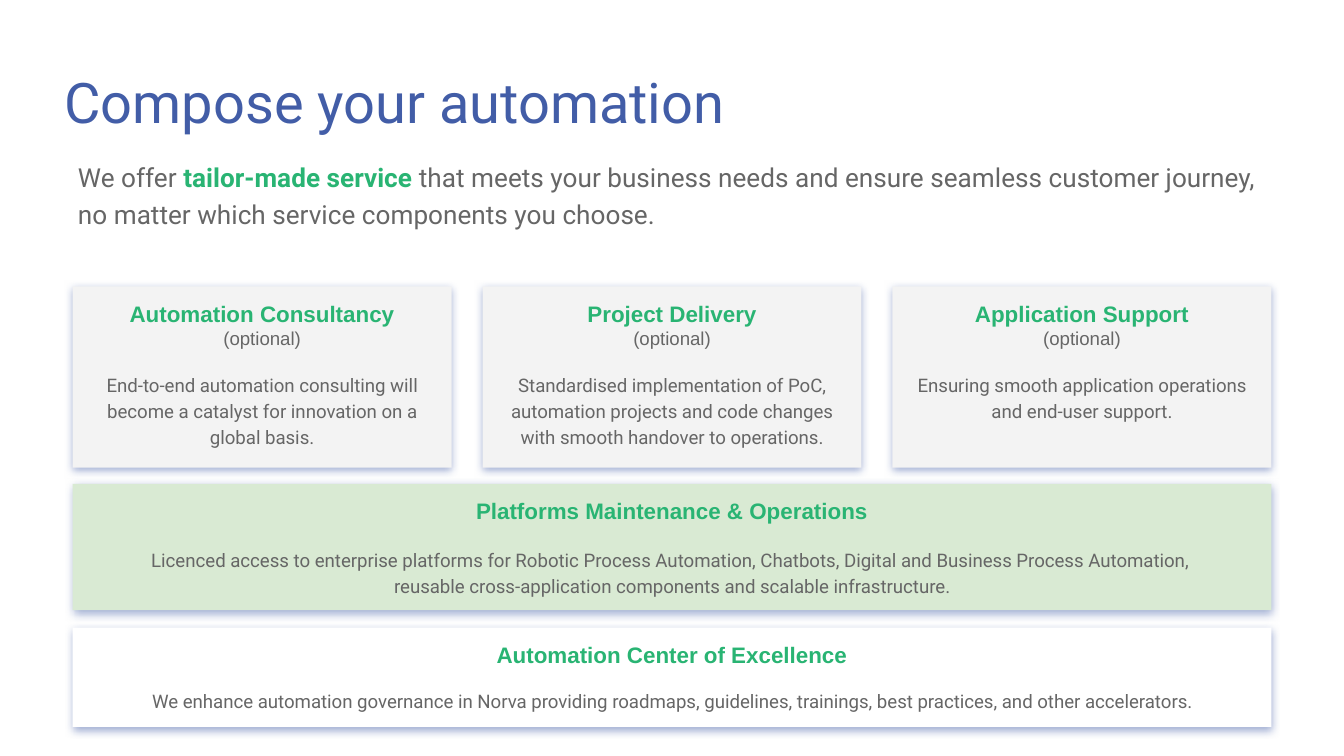
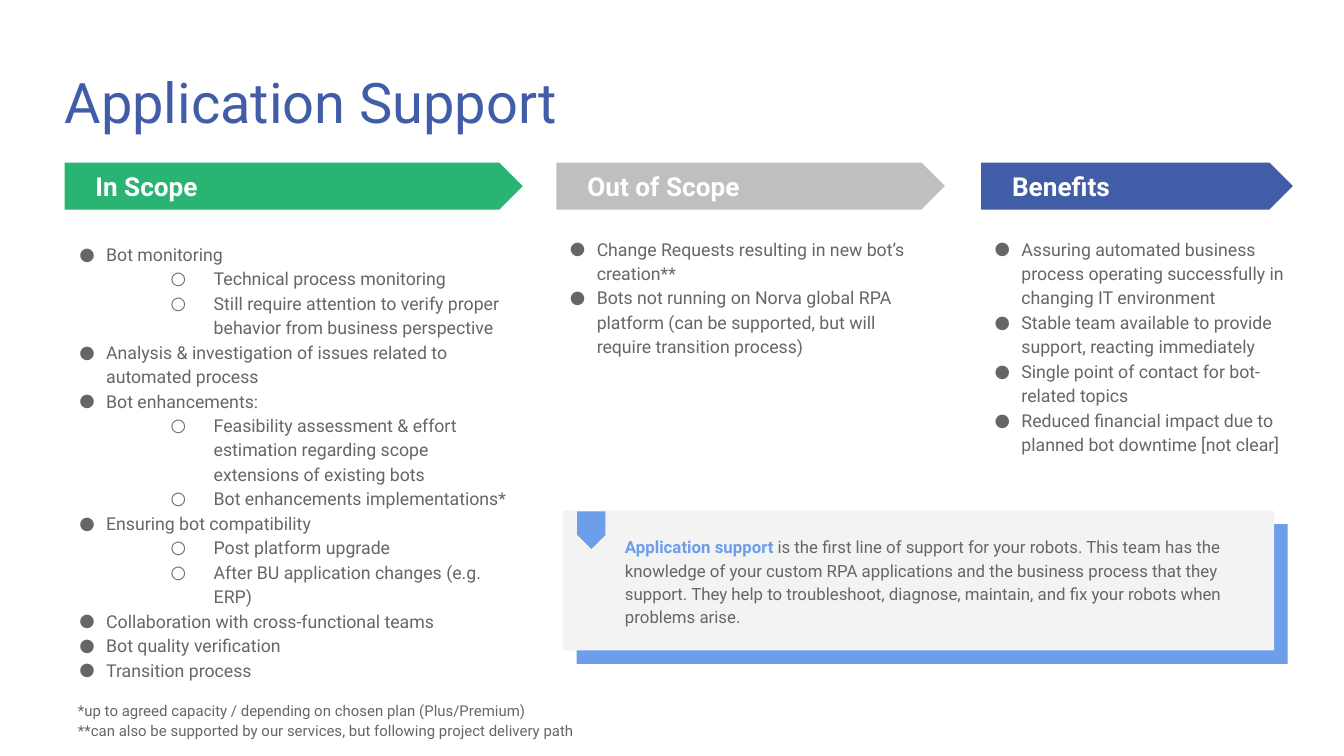
import dataclasses

import lxml.etree
import pptx
import pptx.dml.color
import pptx.enum.shapes
import pptx.enum.text
import pptx.oxml
import pptx.oxml.ns
import pptx.util

WIDTH, HEIGHT = 10, 5.625
COLUMN = pptx.util.Inches(WIDTH / 100)
ROW = pptx.util.Inches(HEIGHT / 100)

BLUE, GREEN, SKY = "425DA7", "29B473", "6D9EEB"
TEXT_GRAY, PALE_GRAY, MID_GRAY = "666666", "F3F3F3", "BFBFBF"
PALE_GREEN, WHITE = "D9EAD3", "FFFFFF"

SHAPES = pptx.enum.shapes.MSO_SHAPE
ANCHOR = pptx.enum.text.MSO_ANCHOR
ALIGN = pptx.enum.text.PP_ALIGN
INSETS = (0.1, 0.1, 0.1, 0.1)


def style(size, color, name="Roboto", bold=False):
    return {"size": pptx.util.Pt(size), "name": name, "bold": bold, "color": color}


TITLE = style(30, BLUE)
LEAD, LEAD_STRONG = style(14, TEXT_GRAY), style(14, GREEN, bold=True)
CARD_HEADING = style(12, GREEN, "Arial", True)
CARD_NOTE, CARD_TEXT = style(10, TEXT_GRAY, "Arial"), style(10, TEXT_GRAY)
ARROW_HEADING = style(14, WHITE, bold=True)
LIST_TEXT, FOOTNOTE = style(9.5, TEXT_GRAY), style(8, TEXT_GRAY)
CALLOUT, CALLOUT_STRONG = style(9, TEXT_GRAY), style(9, SKY, bold=True)

# Bullet character, left margin and hanging indent in inches, by list level
BULLETS = [("●", 0.2, -0.2), ("○", 1, -0.32)]


@dataclasses.dataclass
class Box:
    """Position in hundredths of the slide's width and height."""
    left: float
    top: float
    width: float
    height: float

    def inside(self, left, top, width, height):
        return Box(self.left + left, self.top + top, width, height)

    def place(self, shape):
        lengths = {"left": self.left * COLUMN, "top": self.top * ROW,
                   "width": self.width * COLUMN, "height": self.height * ROW}
        for name, value in lengths.items():
            setattr(shape, name, round(value))


@dataclasses.dataclass
class Line:
    """One paragraph: (text, style) runs, paragraph format and list level."""
    runs: list
    layout: dict = dataclasses.field(default_factory=dict)
    level: int | None = None


def rgb(value):
    return pptx.dml.color.RGBColor.from_string(value)


def set_bullet(paragraph, level):
    properties = paragraph._p.get_or_add_pPr()
    character, margin, indent = (None, 0, 0) if level is None else BULLETS[level]
    properties.set("marL", str(pptx.util.Inches(margin)))
    properties.set("indent", str(pptx.util.Inches(indent)))
    name = pptx.oxml.ns.qn
    if character is None:
        lxml.etree.SubElement(properties, name("a:buNone"))
        return
    bullet_color = lxml.etree.SubElement(properties, name("a:buClr"))
    lxml.etree.SubElement(bullet_color, name("a:srgbClr"), val=TEXT_GRAY)
    lxml.etree.SubElement(properties, name("a:buFont"), typeface="Roboto")
    lxml.etree.SubElement(properties, name("a:buChar"), char=character)


def add_run(paragraph, text, text_style):
    run = paragraph.add_run()
    run.text = text
    for name, value in text_style.items():
        if name == "color":
            run.font.color.rgb = rgb(value)
        else:
            setattr(run.font, name, value)


def write(shape, lines, insets=INSETS, anchor=ANCHOR.TOP):
    frame = shape.text_frame
    settings = {"word_wrap": True, "auto_size": pptx.enum.text.MSO_AUTO_SIZE.NONE,
                "vertical_anchor": anchor}
    for side, inset in zip(("left", "top", "right", "bottom"), insets):
        settings["margin_" + side] = pptx.util.Inches(inset)
    for name, value in settings.items():
        setattr(frame, name, value)
    for index, line in enumerate(lines):
        paragraph = frame.add_paragraph() if index else frame.paragraphs[0]
        set_bullet(paragraph, line.level)
        layout = {"alignment": ALIGN.LEFT, "line_spacing": 1.0, "level": line.level or 0,
                  "space_before": pptx.util.Pt(0), **line.layout}
        for name, value in layout.items():
            setattr(paragraph, name, value)
        for text, text_style in line.runs:
            for part_index, part in enumerate(text.split("\n")):
                if part_index:
                    paragraph.add_line_break()
                add_run(paragraph, part, text_style)


def add_filled(slide, preset, box, fill):
    shape = slide.shapes.add_shape(preset, 0, 0, 0, 0)
    box.place(shape)
    shape.shadow.inherit = False
    shape.fill.solid()
    shape.fill.fore_color.rgb = rgb(fill)
    shape.line.fill.background()
    return shape


def add_soft_shadow(shape):
    effects = shape._element.spPr.find(pptx.oxml.ns.qn("a:effectLst"))
    effects.append(pptx.oxml.parse_xml(
        f'<a:outerShdw {pptx.oxml.ns.nsdecls("a")} blurRad="{pptx.util.Pt(4.5)}" '
        f'dist="{pptx.util.Pt(1.5)}" dir="5400000" algn="bl" rotWithShape="0">'
        f'<a:srgbClr val="{BLUE}"><a:alpha val="50000"/></a:srgbClr></a:outerShdw>'))


def add_titled_slide(presentation, layout_name, title, width, height):
    layout = presentation.slide_layouts.get_by_name(layout_name)
    slide = presentation.slides.add_slide(layout)
    slide.background.fill.solid()
    slide.background.fill.fore_color.rgb = rgb(WHITE)
    Box(4.8, 8.89, width, height).place(slide.shapes.title)
    write(slide.shapes.title, [Line([(title, TITLE)])], insets=(0, 0, 0, 0))
    return slide


def fill_body(slide, index, box, lines):
    body = slide.placeholders[index]
    box.place(body)
    write(body, lines)


def add_card(slide, box, fill, heading, text, note=None, gap=11.5):
    card = add_filled(slide, SHAPES.RECTANGLE, box, fill)
    add_soft_shadow(card)
    centered = {"alignment": ALIGN.CENTER}
    lines = [Line([(heading, CARD_HEADING)], centered)]
    if note:
        lines.append(Line([(note, CARD_NOTE)], centered))
    lines.append(Line([(text, CARD_TEXT)], {
        **centered, "line_spacing": 1.15, "space_before": pptx.util.Pt(gap),
        "space_after": pptx.util.Pt(16)}))
    write(card, lines)


def add_card_row(slide, box, cards, gap=2.3):
    width = (box.width - gap * (len(cards) - 1)) / len(cards)
    for index, (heading, text) in enumerate(cards):
        card_box = box.inside(index * (width + gap), 0, width, box.height)
        add_card(slide, card_box, PALE_GRAY, heading, text, "(optional)")


def add_scope_column(slide, index, box, color, heading, list_offset, items):
    """Arrow heading in the box, list placed from the box's corner."""
    arrow = add_filled(slide, SHAPES.PENTAGON, box, color)
    arrow.adjustments[0] = 0.5
    write(arrow, [Line([(heading, ARROW_HEADING)])], (0.23, 0.1, 0.1, 0.1), ANCHOR.MIDDLE)
    lines = [Line([(text, LIST_TEXT)], {"line_spacing": 1.15}, level) for level, text in items]
    fill_body(slide, index, box.inside(*list_offset), lines)


def add_callout(slide, box, runs):
    """Panel over an offset backing, with a ribbon hanging from its top edge."""
    add_filled(slide, SHAPES.RECTANGLE, box.inside(1, 1.78, box.width, box.height), SKY)
    panel = add_filled(slide, SHAPES.RECTANGLE, box, PALE_GRAY)
    write(panel, [Line(runs, {"line_spacing": 1.15})], (0.46, 0.1, 0.15, 0.1), ANCHOR.MIDDLE)
    ribbon = add_filled(slide, SHAPES.PENTAGON, box.inside(0.7, 0.71, 2.8, 3.73), SKY)
    ribbon.adjustments[0] = 0.5
    ribbon.rotation = 90


def build_compose_slide(presentation):
    slide = add_titled_slide(presentation, "Title and Content",
                             "Compose your automation", 89.8, 15.64)
    fill_body(slide, 1, Box(4.8, 19.02, 89.8, 18.67), [Line([
        ("We offer ", LEAD), ("tailor-made service", LEAD_STRONG),
        (" that meets your business needs and ensure seamless customer journey, "
         "no matter which service components you choose.", LEAD)], {"line_spacing": 1.15})])
    grid = Box(5.4, 37.87, 89.2, 58.31)
    add_card_row(slide, grid.inside(0, 0, grid.width, 24), [
        ("Automation Consultancy", "End-to-end automation consulting will become a "
         "catalyst for innovation on a global basis."),
        ("Project Delivery", "Standardised implementation of PoC, automation projects "
         "and code changes with smooth handover to operations."),
        ("Application Support", "Ensuring smooth application operations and end-user support.")])
    add_card(slide, grid.inside(0, 26.13, grid.width, 16.71), PALE_GREEN,
             "Platforms Maintenance & Operations",
             "Licenced access to enterprise platforms for Robotic Process Automation, Chatbots, "
             "Digital and Business Process Automation, \n"
             "reusable cross-application components and scalable infrastructure.")
    add_card(slide, grid.inside(0, 45.15, grid.width, 13.16), WHITE,
             "Automation Center of Excellence",
             "We enhance automation governance in Norva providing roadmaps, guidelines, "
             "trainings, best practices, and other accelerators.", gap=10)


def build_support_slide(presentation):
    slide = add_titled_slide(presentation, "Comparison", "Application Support", 67.1, 9.6)
    top, height = 21.5, 6.22
    add_scope_column(slide, 1, Box(4.8, top, 34.1, height), GREEN, "In Scope",
                     (0.1, 8.54, 34.1, 60.44), [
        (0, "Bot monitoring"),
        (1, "Technical process monitoring"),
        (1, "Still require attention to verify proper behavior from business perspective"),
        (0, "Analysis & investigation of issues related to automated process"),
        (0, "Bot enhancements:"),
        (1, "Feasibility assessment & effort estimation regarding scope extensions "
            "of existing bots"),
        (1, "Bot enhancements implementations*"),
        (0, "Ensuring bot compatibility"),
        (1, "Post platform upgrade"),
        (1, "After BU application changes (e.g. ERP)"),
        (0, "Collaboration with cross-functional teams"),
        (0, "Bot quality verification"),
        (0, "Transition process")])
    add_scope_column(slide, 2, Box(41.4, top, 28.9, height), MID_GRAY, "Out of Scope",
                     (0, 7.83, 27.2, 24.53), [
        (0, "Change Requests resulting in new bot’s creation**"),
        (0, "Bots not running on Norva global RPA platform (can be supported, but will "
            "require transition process)")])
    add_scope_column(slide, 3, Box(73, top, 23.2, height), BLUE, "Benefits",
                     (0, 7.83, 23.6, 40.71), [
        (0, "Assuring automated business process operating successfully in changing "
            "IT environment"),
        (0, "Stable team available to provide support, reacting immediately"),
        (0, "Single point of contact for bot-related topics"),
        (0, "Reduced financial impact due to planned bot downtime [not clear]")])
    add_callout(slide, Box(41.9, 67.56, 52.9, 18.49), [
        ("Application support ", CALLOUT_STRONG),
        ("is the first line of support for your robots. This team has the knowledge of your "
         "custom RPA applications and the business process that they support. They help to "
         "troubleshoot, diagnose, maintain, and fix your robots when problems arise.", CALLOUT)])
    fill_body(slide, 4, Box(4.8, 90.67, 86.9, 10.13), [
        Line([(text, FOOTNOTE)], {"line_spacing": 1.15}) for text in (
            "*up to agreed capacity / depending on chosen plan (Plus/Premium)",
            "**can also be supported by our services, but following project delivery path")])


def main():
    presentation = pptx.Presentation()
    presentation.slide_width = pptx.util.Inches(WIDTH)
    presentation.slide_height = pptx.util.Inches(HEIGHT)
    build_compose_slide(presentation)
    build_support_slide(presentation)
    presentation.save("out.pptx")


if __name__ == "__main__":
    main()
